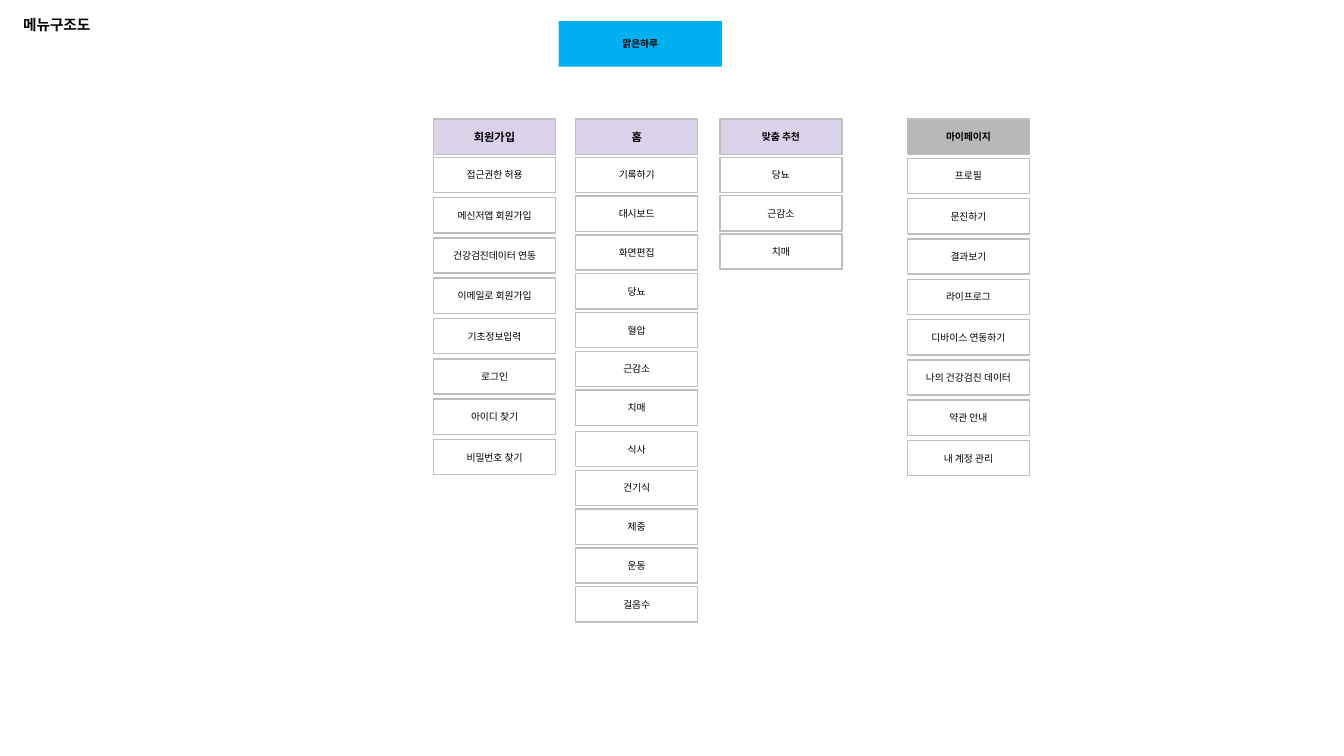
"""Build the menu structure slide of a health app."""
from pptx import Presentation
from pptx import util as u
from pptx.dml.color import RGBColor
from pptx.enum import shapes, text

BLACK = RGBColor(0x00, 0x00, 0x00)
SKY = RGBColor(0x00, 0xB0, 0xF0)
LILAC = RGBColor(0xD9, 0xD2, 0xE9)
GRAY = RGBColor(0xB8, 0xB8, 0xB8)
BORDER = RGBColor(0xBF, 0xBF, 0xBF)

HEAD_TOP, BOX_W, BOX_H = 1.18, 1.21, 0.35
HOME_STEP = (5.82 - 4.28) / 4

COLUMNS = [
    (4.3, "회원가입", 8, LILAC, [
        (1.56, 0.4, ["접근권한 허용", "메신저앱 회원가입", "건강검진데이터 연동", "이메일로 회원가입",
                     "기초정보입력", "로그인", "아이디 찾기", "비밀번호 찾기"])]),
    (5.71, "홈", 8, LILAC, [
        (1.56, HOME_STEP, ["기록하기", "대시보드", "화면편집", "당뇨", "혈압", "근감소", "치매"]),
        (4.28, HOME_STEP, ["식사", "건기식", "체중", "운동", "걸음수"])]),
    (7.14, "맞춤 추천", 7, LILAC, [
        (1.56, 0.38, ["당뇨", "근감소", "치매"])]),
    (9, "마이페이지", 7, GRAY, [
        (1.57, 0.4, ["프로필", "문진하기", "결과보기", "라이프로그", "디바이스 연동하기",
                     "나의 건강검진 데이터", "약관 안내", "내 계정 관리"])]),
]


class MenuSlide:
    def __init__(self, prs, font="Arial", color=BLACK):
        self.s = prs.slides.add_slide(prs.slide_layouts[5])
        self.font, self.color = font, color

    def label(self, sp, words, size, bold, align, anchor, insets):
        tf = sp.text_frame
        tf.text = words
        tf.word_wrap = True
        tf.vertical_anchor = anchor
        tf.margin_left, tf.margin_top, tf.margin_right, tf.margin_bottom = map(u.Inches, insets)
        p = tf.paragraphs[0]
        p.alignment = align
        f = p.runs[0].font
        f.name, f.size, f.bold = self.font, u.Pt(size), bold
        f.color.rgb = self.color

    def title(self, words, x, y, w, h):
        sp = self.s.shapes.title
        sp.left, sp.top, sp.width, sp.height = map(u.Inches, (x, y, w, h))
        self.label(sp, words, 10.5, True, text.PP_ALIGN.LEFT,
                   text.MSO_ANCHOR.TOP, (0, 0.04, 0.07, 0.04))
        sp.text_frame.auto_size = text.MSO_AUTO_SIZE.NONE

    def box(self, words, x, y, w=BOX_W, h=BOX_H, size=7, bold=False, fill=None, line=BORDER):
        sp = self.s.shapes.add_shape(shapes.MSO_SHAPE.ROUNDED_RECTANGLE,
                                     *map(u.Inches, (x, y, w, h)))
        sp.adjustments[0] = 0
        sp.shadow.inherit = False
        if fill is None:
            sp.fill.background()
        else:
            sp.fill.solid()
            sp.fill.fore_color.rgb = fill
        if line is None:
            sp.line.fill.background()
        else:
            sp.line.color.rgb = line
            sp.line.width = u.Pt(1)
        self.label(sp, words, size, bold, text.PP_ALIGN.CENTER,
                   text.MSO_ANCHOR.MIDDLE, (0, 0, 0, 0))

    def column(self, x, head, size, fill, groups):
        self.box(head, x, HEAD_TOP, size=size, bold=True, fill=fill)
        for top, step, items in groups:
            for i, item in enumerate(items):
                self.box(item, x, top + i * step)


def main():
    prs = Presentation()
    prs.slide_width, prs.slide_height = u.Inches(13.33), u.Inches(7.5)
    menu = MenuSlide(prs)
    menu.title("메뉴구조도", 0.23, 0.12, 1.81, 0.25)
    menu.box("맑은하루", 5.54, 0.21, 1.62, 0.45, bold=True, fill=SKY, line=None)
    for column in COLUMNS:
        menu.column(*column)
    prs.save("out.pptx")


if __name__ == "__main__":
    main()
